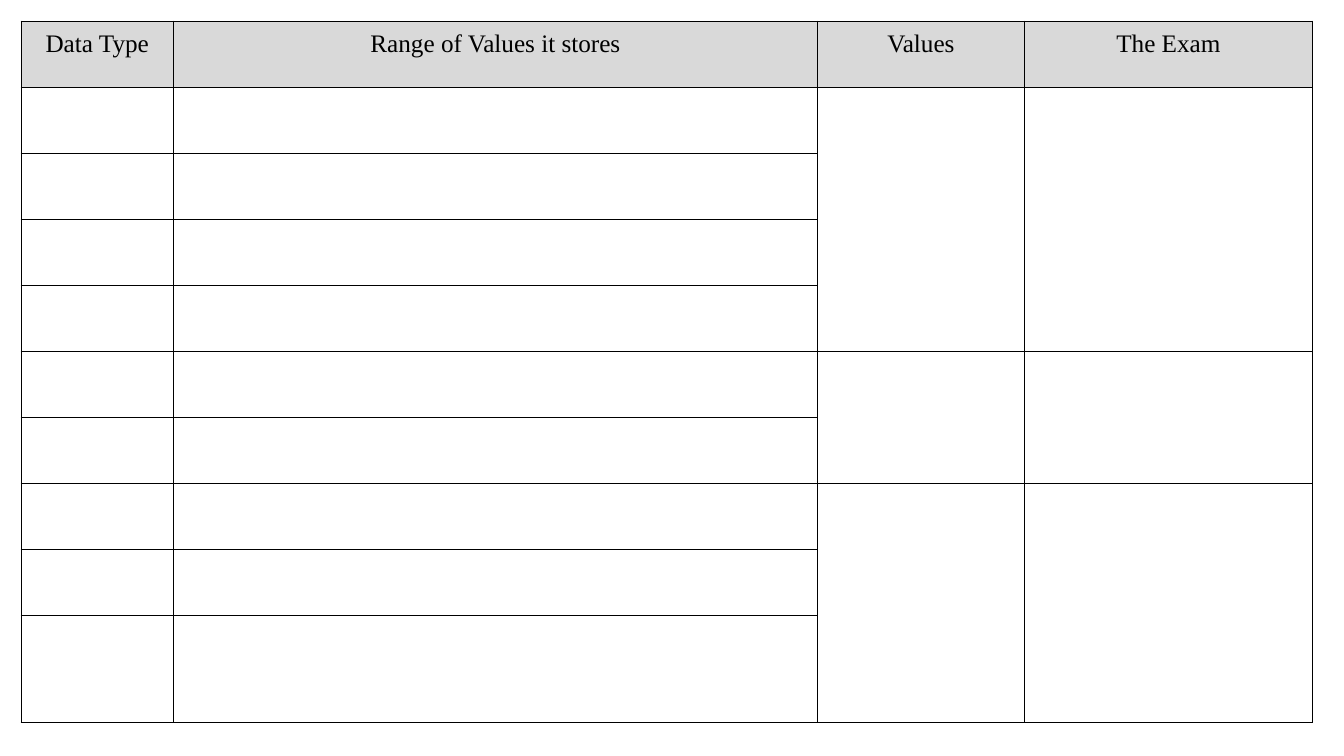
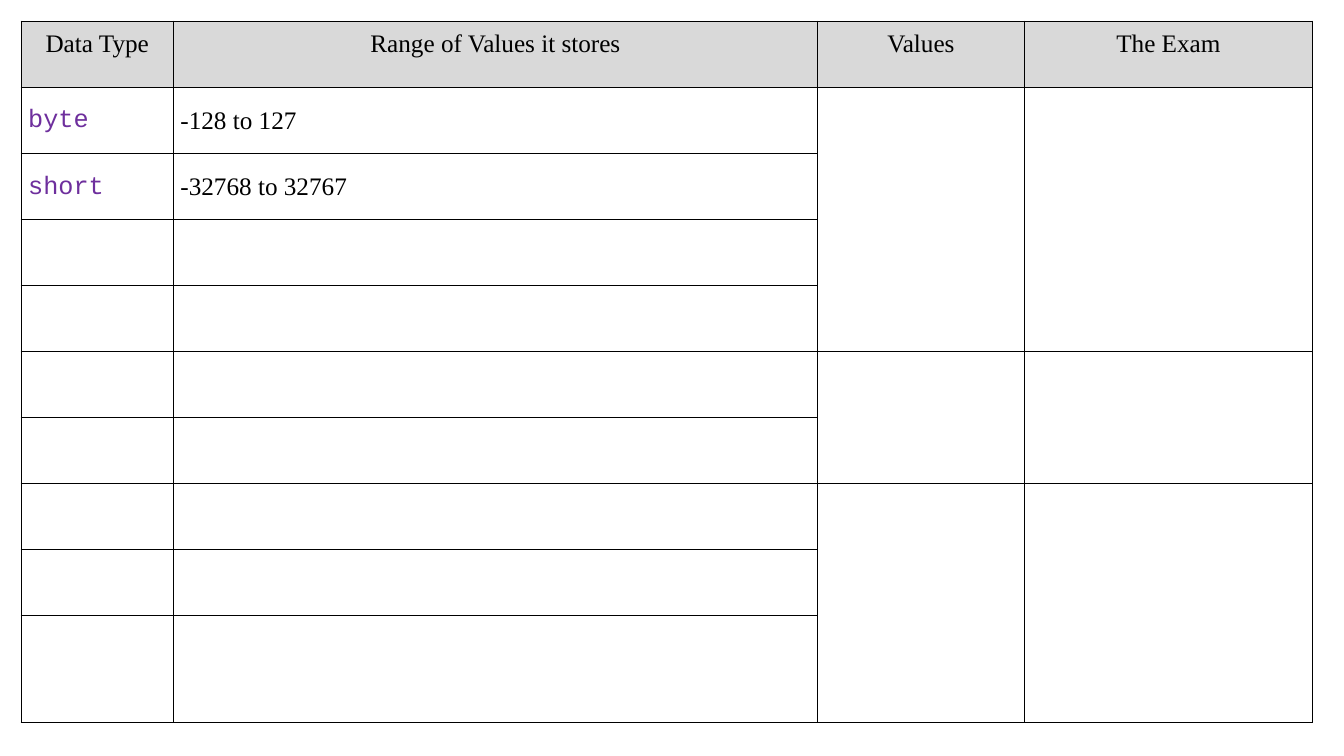
"""Build two slides of a data type table that is filled in step by step."""
from lxml import etree
from pptx import Presentation
from pptx.dml.color import RGBColor
from pptx.enum import text
from pptx.oxml import ns
from pptx.util import Inches, Pt

BLACK = RGBColor(0x00, 0x00, 0x00)
PURPLE = RGBColor(0x6E, 0x2F, 0x9D)
HEADER_GREY = RGBColor(0xD9, 0xD9, 0xD9)
SERIF, MONO = "Times New Roman", "Courier New"

LEFT = TOP = 0.21
HEIGHT, LAST_ROW = 6.96, 1.06
COLUMN_WIDTHS = [1.51, 6.39, 2.05, 2.86]
ROW_COUNT = 10
ROW_HEIGHTS = [(HEIGHT - LAST_ROW) / (ROW_COUNT - 1)] * (ROW_COUNT - 1) + [LAST_ROW]
ROW_GROUPS = [(1, 4), (5, 6), (7, 9)]
HEADERS = ["Data Type", "Range of Values it stores", "Values", "The Exam"]
SLIDE_ROWS = [
    [],
    [("byte", "-128 to 127"), ("short", "-32768 to 32767")],
]
INSETS = dict.fromkeys(["margin_left", "margin_right", "margin_top", "margin_bottom"], Inches(0.07))


def add_borders(cell):
    properties = cell._tc.get_or_add_tcPr()
    for side in ("lnL", "lnR", "lnT", "lnB"):
        line = etree.SubElement(properties, ns.qn(f"a:{side}"), w=str(Pt(1)))
        fill = etree.SubElement(line, ns.qn("a:solidFill"))
        etree.SubElement(fill, ns.qn("a:srgbClr"), val=str(BLACK))


def write_cell(cell, words, font_name, colour, align, anchor):
    cell.text = words
    cell.vertical_anchor = anchor
    paragraph = cell.text_frame.paragraphs[0]
    paragraph.alignment = align
    paragraph.line_spacing = 1.07
    font = paragraph.runs[0].font
    for key, value in {"name": font_name, "size": Pt(18), "bold": False}.items():
        setattr(font, key, value)
    font.color.rgb = colour


prs = Presentation()
prs.slide_width, prs.slide_height = Inches(13.33), Inches(7.5)

for data_rows in SLIDE_ROWS:
    slide = prs.slides.add_slide(prs.slide_layouts[6])
    table = slide.shapes.add_table(
        ROW_COUNT, len(HEADERS), Inches(LEFT), Inches(TOP),
        Inches(sum(COLUMN_WIDTHS)), Inches(HEIGHT)).table
    table.first_row = table.horz_banding = False
    for column, width in zip(table.columns, COLUMN_WIDTHS):
        column.width = Inches(width)
    for row, height in zip(table.rows, ROW_HEIGHTS):
        row.height = Inches(height)

    for cell in table.iter_cells():
        add_borders(cell)
        cell.fill.background()
        for key, value in INSETS.items():
            setattr(cell, key, value)

    for col, header in enumerate(HEADERS):
        header_cell = table.cell(0, col)
        header_cell.fill.solid()
        header_cell.fill.fore_color.rgb = HEADER_GREY
        write_cell(header_cell, header, SERIF, BLACK,
                   text.PP_ALIGN.CENTER, text.MSO_ANCHOR.TOP)

    for row_number, (data_type, value_range) in enumerate(data_rows, start=1):
        styles = [(data_type, MONO, PURPLE), (value_range, SERIF, BLACK)]
        for col, (words, font_name, colour) in enumerate(styles):
            write_cell(table.cell(row_number, col), words, font_name, colour,
                       text.PP_ALIGN.LEFT, text.MSO_ANCHOR.MIDDLE)

    for first, last in ROW_GROUPS:
        for col in (2, 3):
            table.cell(first, col).merge(table.cell(last, col))

prs.save("out.pptx")
